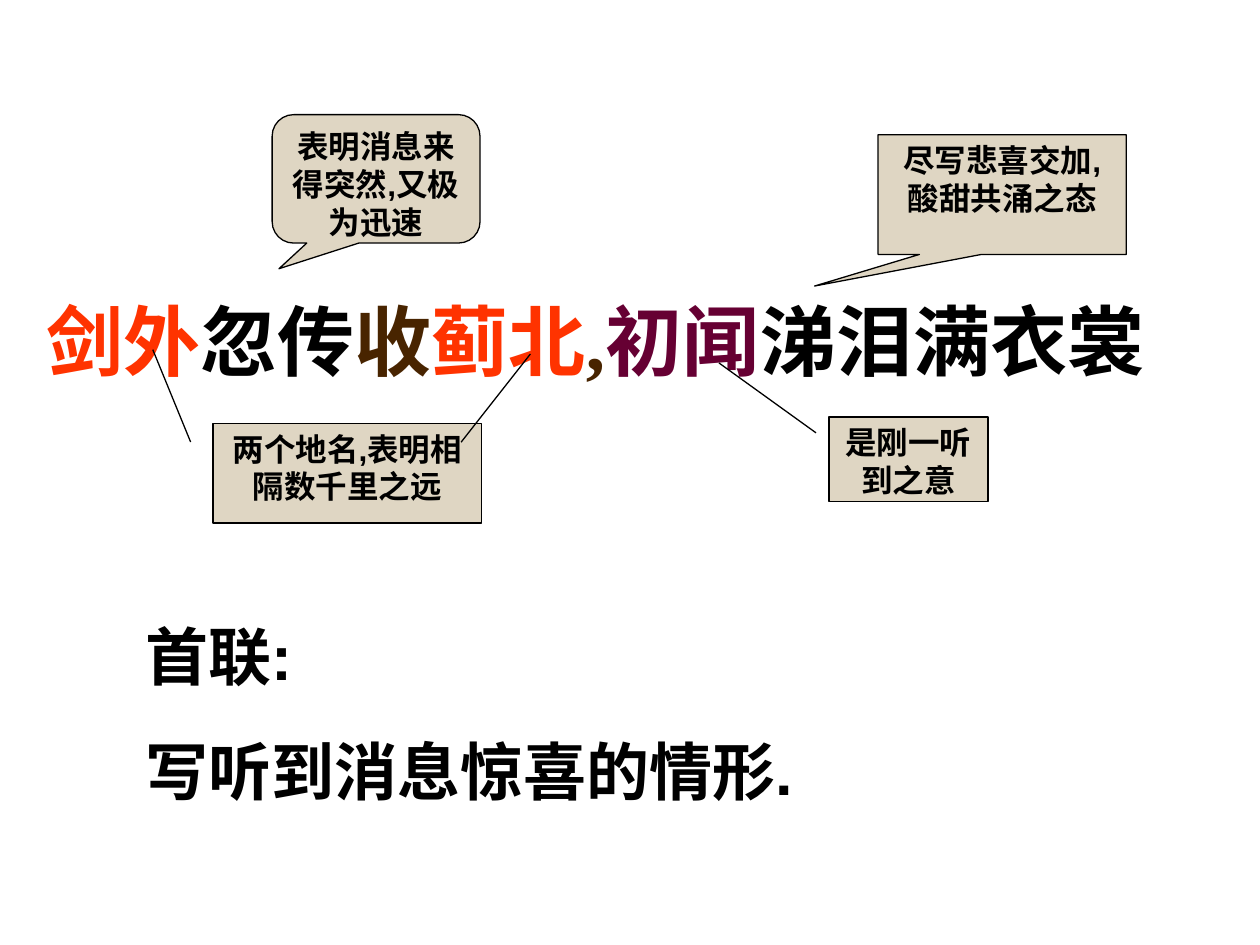
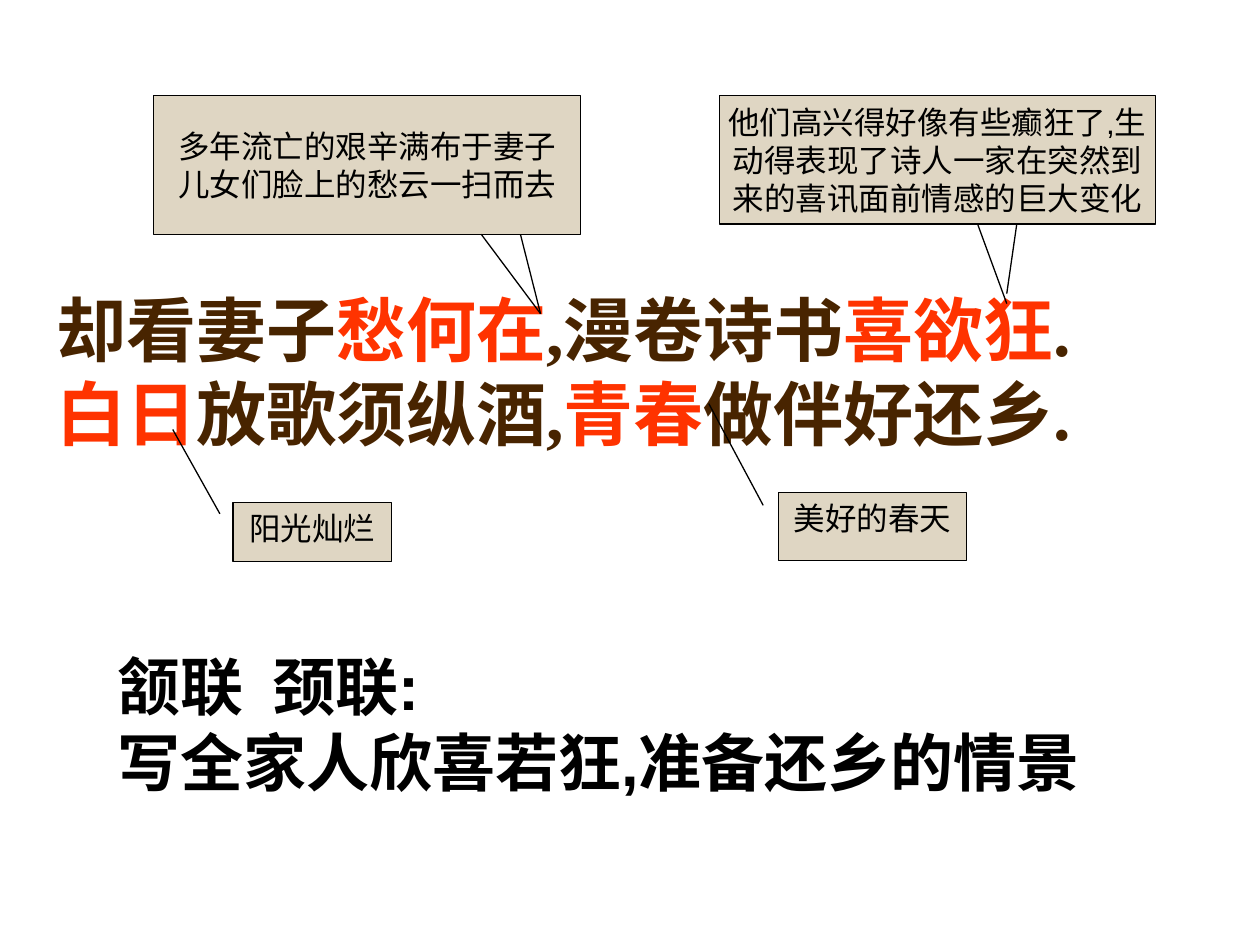
from lxml import etree
from pptx import Presentation
from pptx.dml.color import RGBColor
from pptx.enum.shapes import MSO_CONNECTOR, MSO_SHAPE
from pptx.enum.text import MSO_ANCHOR, MSO_AUTO_SIZE, PP_ALIGN
from pptx.oxml.ns import qn
from pptx.util import Pt

RECT = MSO_SHAPE.RECTANGLE
LEADER = MSO_SHAPE.LINE_CALLOUT_1
ROUND_BUBBLE = MSO_SHAPE.ROUNDED_RECTANGULAR_CALLOUT
RECT_BUBBLE = MSO_SHAPE.RECTANGULAR_CALLOUT
STRAIGHT = MSO_CONNECTOR.STRAIGHT
LEFT, CENTER = PP_ALIGN.LEFT, PP_ALIGN.CENTER
TOP, MIDDLE, BOTTOM = MSO_ANCHOR.TOP, MSO_ANCHOR.MIDDLE, MSO_ANCHOR.BOTTOM
NO_FIT, GROW = MSO_AUTO_SIZE.NONE, MSO_AUTO_SIZE.SHAPE_TO_FIT_TEXT

COLOURS = {"ink": "000000", "brown": "482400", "red": "FF3300",
           "plum": "660033", "sand": "DFD6C3"}
VERSE_SIZE = (672.5, 90)
LEADER_START = (0.188, -0.083)

# Verse lines are lists of (text, colour); boxes are left, top, width, height.
COUPLETS = [
    {
        "verse": [[("剑外", "red"), ("忽传", "ink"), ("收", "brown"),
                   ("蓟北", "red"), (",", "brown"), ("初闻", "plum"),
                   ("涕泪满衣裳", "ink")]],
        "verse_at": (19.4, 133.9),
        "verse_size": 44,
        "notes_bold": True,
        "notes": [
            (LEADER, (121.7, 241.9, 153.4, 56.9),
             (*LEADER_START, -0.74, -0.224), ["两个地名,表明相隔数千里之远"]),
            (ROUND_BUBBLE, (155.5, 65.5, 118.8, 73.4),
             (-0.467, 0.7, 0.167), ["表明消息来得突然,又极为迅速"]),
            (LEADER, (473.8, 238.3, 90.7, 48.2),
             (*LEADER_START, -0.641, -0.694), ["是刚一听到之意"]),
            (RECT_BUBBLE, (501.8, 77, 141.8, 68.4),
             (-0.756, 0.764), ["尽写悲喜交加,酸甜共涌之态"]),
        ],
        "pointers": [((263.5, 252.7), (303.1, 202.3))],
        "summary": ["首联:", "写听到消息惊喜的情形."],
        "summary_box": (76.3, 349.2, 435.6, 116.6),
        "summary_gap": 22.5,
    },
    {
        "verse": [
            [("却看妻子", "brown"), ("愁何在", "red"), (",漫卷诗书", "brown"),
             ("喜欲狂", "red"), (".", "brown")],
            [("白日", "red"), ("放歌须纵酒,", "brown"), ("青春", "red"),
             ("做伴好还乡.", "brown")],
        ],
        "verse_at": (25.2, 173.5),
        "verse_size": 40,
        "notes_bold": False,
        "notes": [
            (RECT, (87.8, 54.7, 244.1, 79.2), (),
             ["多年流亡的艰辛满布于妻子", "儿女们脸上的愁云一扫而去"]),
            (RECT, (411.1, 54.7, 249.1, 73.4), (),
             ["他们高兴得好像有些癫狂了,生", "动得表现了诗人一家在突然到",
              "来的喜讯面前情感的巨大变化"]),
            (LEADER, (133.2, 287.3, 90.7, 33.8),
             (*LEADER_START, -1.239, -0.38), ["阳光灿烂"]),
            (LEADER, (445, 281.5, 107.3, 38.9),
             (*LEADER_START, -1.308, -0.373), ["美好的春天"]),
        ],
        "pointers": [((308.9, 179.3), (297.4, 133.9)),
                     ((308.9, 179.3), (275, 133.9)),
                     ((575.3, 167.8), (581, 128.2)),
                     ((575.3, 173.5), (558.7, 128.2))],
        "summary": ["颔联\t颈联:", "写全家人欣喜若狂,准备还乡的情景"],
        "summary_box": (59.8, 366.5, 567.4, 136.8),
        "summary_gap": 0,
    },
]
SUMMARY_TAB = 89


def rgb(name):
    return RGBColor.from_string(COLOURS[name])


def points(values):
    return [Pt(value) for value in values]


def add_tab_stop(paragraph, position):
    stops = etree.SubElement(paragraph._p.get_or_add_pPr(), qn("a:tabLst"))
    etree.SubElement(stops, qn("a:tab"), pos=str(Pt(position)), algn="l")


def write(frame, paragraphs, *, size, font="Arial", bold=False, align=LEFT,
          anchor=TOP, wrap=True, fit=NO_FIT, gap=0):
    """Fill a frame; each paragraph is a list of lines of (text, colour)."""
    frame.word_wrap = wrap
    frame.auto_size = fit
    frame.vertical_anchor = anchor
    for i, lines in enumerate(paragraphs):
        paragraph = frame.add_paragraph() if i else frame.paragraphs[0]
        paragraph.alignment = align
        if any("\t" in text for line in lines for text, _ in line):
            add_tab_stop(paragraph, SUMMARY_TAB)
        if i and gap:
            paragraph.space_before = Pt(gap)
        for j, line in enumerate(lines):
            if j:
                paragraph.add_line_break()
                etree.SubElement(paragraph._p[-1], qn("a:rPr"), sz=str(size * 100))
            for text, colour in line:
                run = paragraph.add_run()
                run.text = text
                run.font.size = Pt(size)
                run.font.name = font
                run.font.bold = bold
                run.font.color.rgb = rgb(colour)


def plain(texts):
    """Turn strings into single-line black paragraphs."""
    return [[[(text, "ink")]] for text in texts]


def add_note(slide, kind, box, adjustments, texts, bold):
    note = slide.shapes.add_shape(kind, *points(box))
    note.shadow.inherit = False
    for i, value in enumerate(adjustments):
        note.adjustments[i] = value
    note.fill.solid()
    note.fill.fore_color.rgb = rgb("sand")
    note.line.color.rgb = rgb("ink")
    note.line.width = Pt(0.75)
    boxed = kind == RECT
    write(note.text_frame, plain(texts), size=18, bold=bold, align=CENTER,
          anchor=MIDDLE if boxed else TOP, wrap=not boxed)


def add_pointer(slide, start, end):
    pointer = slide.shapes.add_connector(STRAIGHT, *points(start + end))
    pointer.line.color.rgb = rgb("ink")
    pointer.line.width = Pt(0.75)
    etree.SubElement(pointer._element.spPr, qn("a:effectLst"))


def add_couplet(deck, couplet):
    slide = deck.slides.add_slide(deck.slide_layouts[5])
    verse = slide.shapes.title
    verse.left, verse.top, verse.width, verse.height = points(
        couplet["verse_at"] + VERSE_SIZE)
    write(verse.text_frame, [couplet["verse"]], size=couplet["verse_size"],
          font="Times New Roman", bold=True, anchor=BOTTOM)
    for note in couplet["notes"]:
        add_note(slide, *note, couplet["notes_bold"])
    for start, end in couplet["pointers"]:
        add_pointer(slide, start, end)
    summary = slide.shapes.add_textbox(*points(couplet["summary_box"]))
    write(summary.text_frame, plain(couplet["summary"]), size=36, bold=True,
          fit=GROW, gap=couplet["summary_gap"])


def main():
    deck = Presentation()
    deck.slide_width, deck.slide_height = Pt(720), Pt(540)
    for couplet in COUPLETS:
        add_couplet(deck, couplet)
    deck.save("out.pptx")


if __name__ == "__main__":
    main()
